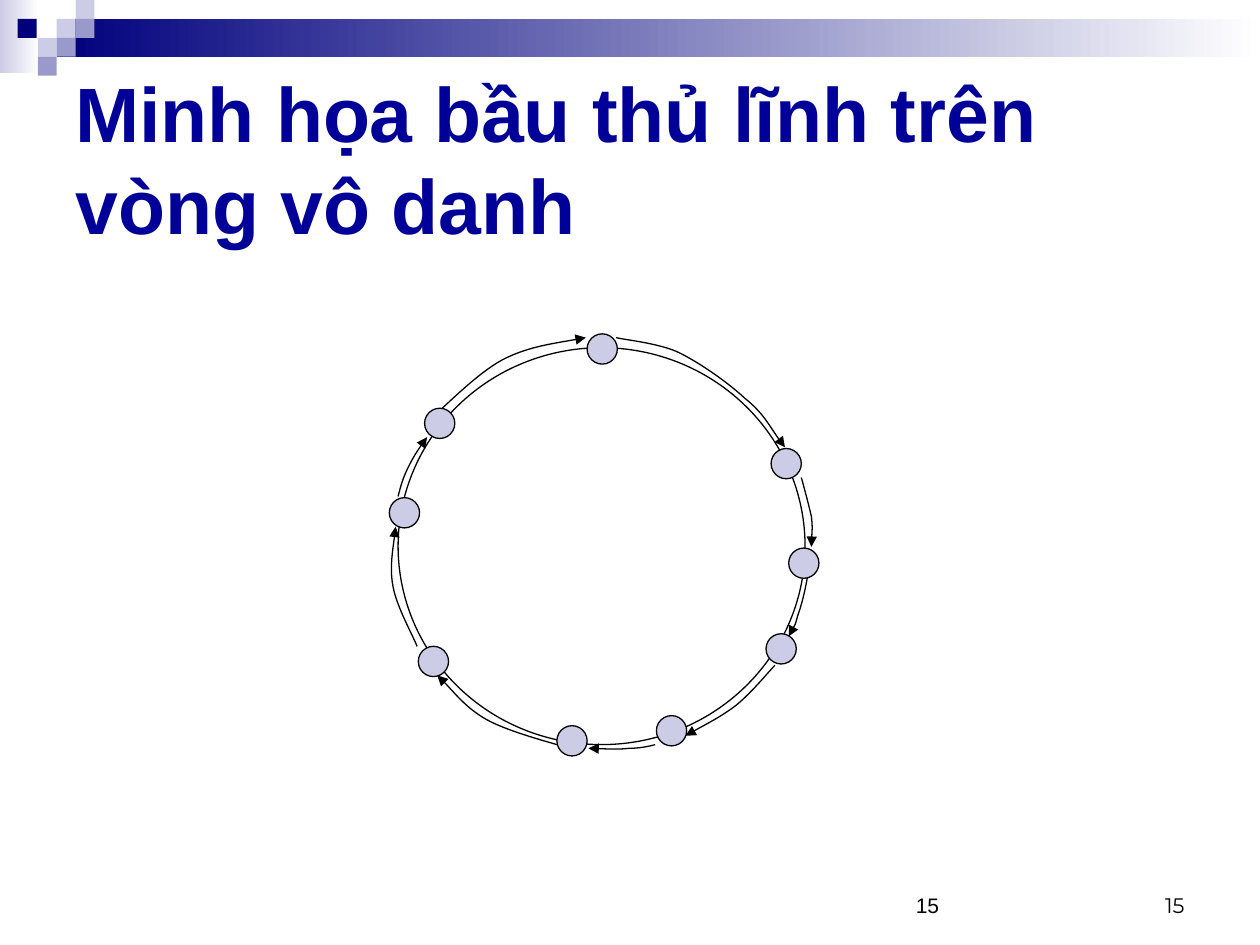
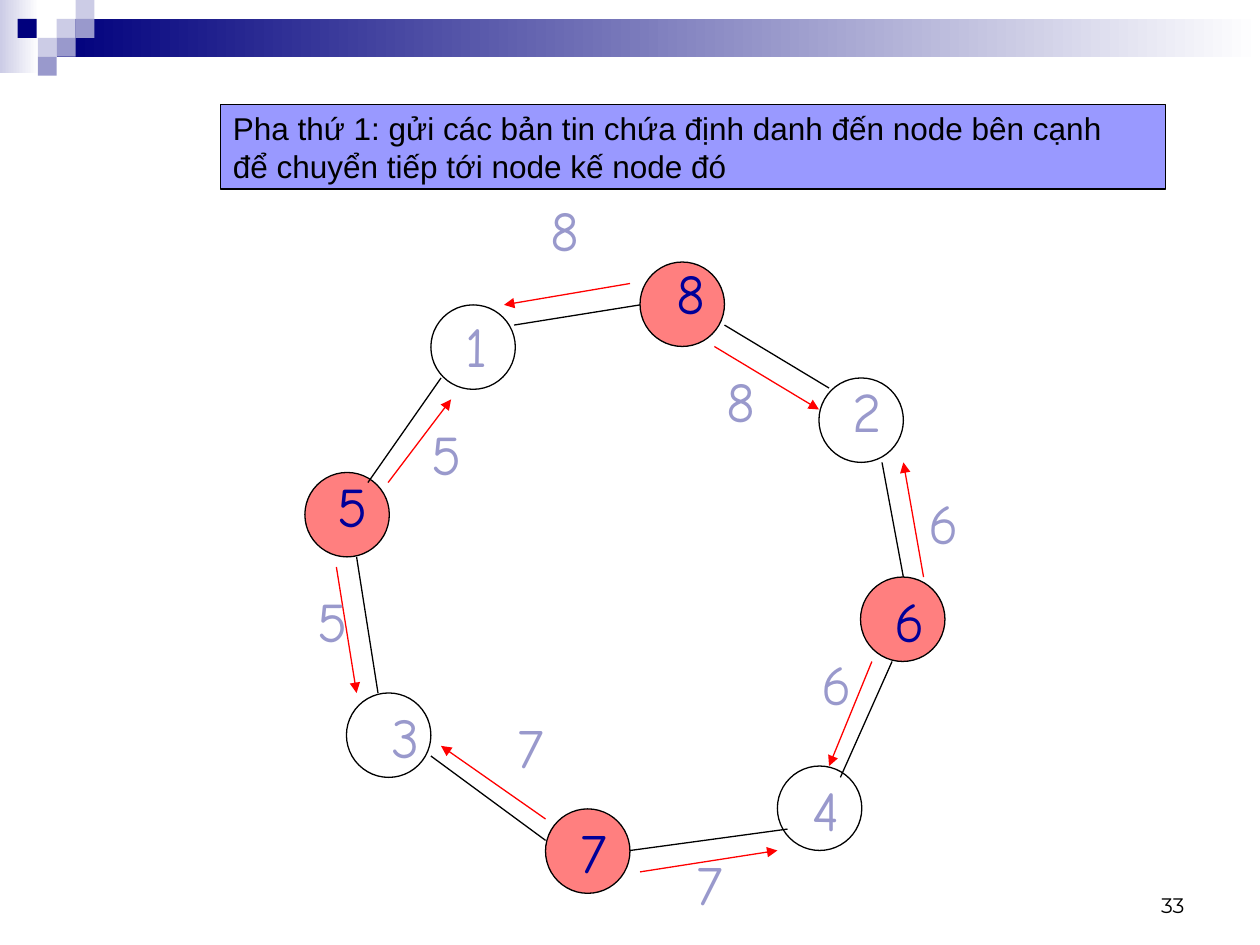
from typing import Any, NamedTuple

from lxml.etree import SubElement
from pptx import Presentation
from pptx.dml.color import RGBColor
from pptx.enum.shapes import MSO_CONNECTOR, MSO_SHAPE
from pptx.enum.text import MSO_ANCHOR, MSO_AUTO_SIZE, PP_ALIGN
from pptx.oxml.ns import qn
from pptx.slide import Slide
from pptx.util import Emu, Pt

SCALE = 9144
NAVY, BLUE, MIST, HAZE = "00007D", "000099", "CCCCE6", "9999CC"
BLACK, WHITE, RED, LILAC = "000000", "FFFFFF", "FF0000", "9999FF"
SANS, COMIC, MONT = "Arial", "Comic Neue", "Montserrat"


class Box(NamedTuple):
    x: int
    y: int
    w: int
    h: int


class Tile(NamedTuple):
    x: int
    y: int
    hue: str


class Node(NamedTuple):
    x: int
    y: int
    hot: bool


class Line(NamedTuple):
    x1: int
    y1: int
    x2: int
    y2: int


class Digit(NamedTuple):
    text: str
    x: int
    y: int
    hue: str = HAZE


TILES = [
    Tile(45, 15, MIST), Tile(60, 0, MIST), Tile(60, 15, HAZE), Tile(30, 30, MIST),
    Tile(14, 15, NAVY), Tile(45, 30, HAZE), Tile(30, 45, HAZE),
]
DOTS = [
    (466, 265), (626, 435), (521, 568), (332, 513), (442, 576),
    (608, 503), (612, 356), (309, 395), (337, 324),
]
CURVES = [
    [(489, 268), (497, 270), (520, 272), (537, 279), (554, 287),
     (577, 303), (591, 316), (606, 328), (612, 341), (623, 355)],
    [(641, 457), (639, 469), (636, 481), (633, 489), (631, 497), (628, 501), (626, 505)],
    [(442, 591), (432, 588), (402, 580), (386, 571), (370, 562), (355, 543), (347, 536)],
    [(636, 379), (639, 390), (642, 401), (644, 410), (645, 419), (644, 427), (644, 434)],
    [(615, 528), (605, 539), (595, 551), (584, 560), (572, 569), (558, 576), (544, 584)],
    [(520, 591), (517, 592), (508, 594), (499, 594), (490, 595), (473, 594), (467, 594)],
    [(331, 513), (328, 505), (315, 482), (312, 466), (309, 451), (313, 428), (314, 418)],
    [(316, 394), (318, 386), (320, 379), (324, 371), (328, 363), (333, 355), (339, 347)],
    [(351, 324), (359, 317), (383, 293), (402, 284), (421, 275), (444, 272), (465, 268)],
]
NODES = [
    Node(508, 208, True), Node(342, 242, False), Node(242, 375, True), Node(275, 550, False),
    Node(433, 642, True), Node(650, 300, False), Node(683, 458, True), Node(617, 608, False),
]
LINKS = [
    Line(292, 383, 350, 300), Line(408, 258, 508, 242), Line(575, 258, 658, 308),
    Line(700, 367, 717, 458), Line(708, 525, 667, 617), Line(625, 658, 500, 675),
    Line(433, 667, 342, 600), Line(300, 550, 283, 442),
]
SENDS = [
    Line(500, 225, 400, 242), Line(567, 275, 650, 325), Line(267, 450, 283, 550),
    Line(508, 692, 617, 675), Line(733, 458, 717, 367), Line(308, 383, 358, 317),
    Line(433, 650, 350, 592), Line(692, 525, 658, 608),
]
DIGITS = [
    Digit("1", 360, 242), Digit("2", 667, 294), Digit("3", 301, 553), Digit("4", 635, 611),
    Digit("5", 258, 369, BLUE), Digit("6", 700, 461, BLUE),
    Digit("7", 451, 644, BLUE), Digit("8", 527, 200, BLUE),
    Digit("8", 567, 286), Digit("5", 333, 328), Digit("5", 242, 461), Digit("7", 401, 561),
    Digit("7", 543, 669), Digit("6", 642, 511), Digit("6", 727, 383), Digit("8", 427, 150),
]
WIDTHS = {"1": 37, "2": 43, "3": 42, "4": 41, "5": 44, "6": 44, "7": 41, "8": 43}


def px(num: int) -> Emu:
    return Emu(num * SCALE)


def tint(code: str) -> RGBColor:
    return RGBColor.from_string(code)


def put(item: Any, vals: dict[str, Any]) -> None:
    for name, val in vals.items():
        setattr(item, name, val)


def ink(line: Any, hue: str, head: bool = False) -> None:
    line.color.rgb = tint(hue)
    line.width = Pt(0.75)
    if head:
        SubElement(line._get_or_add_ln(), qn("a:tailEnd"), type="triangle")


def form(page: Slide, kind: MSO_SHAPE, box: Box, fill: str = "", edge: str = "") -> Any:
    shape = page.shapes.add_shape(kind, *map(px, box))
    shape.shadow.inherit = False
    if fill:
        shape.fill.solid()
        shape.fill.fore_color.rgb = tint(fill)
    else:
        shape.fill.background()
    if edge:
        ink(shape.line, edge)
    else:
        shape.line.fill.background()
    return shape


def fade(page: Slide, box: Box, start: str) -> None:
    shape = form(page, MSO_SHAPE.RECTANGLE, box)
    shape.fill.gradient()
    shape.fill.gradient_angle = 0
    for stop, hue in zip(shape.fill.gradient_stops, (start, WHITE)):
        stop.color.rgb = tint(hue)


def write(shape: Any, lines: list[str], font: dict[str, Any], hue: str,
          frame: dict[str, Any], para: dict[str, Any]) -> None:
    put(shape.text_frame, frame)
    shape.text_frame.text = "\n".join(lines)
    for part in shape.text_frame.paragraphs:
        put(part, para)
        put(part.runs[0].font, font)
        part.runs[0].font.color.rgb = tint(hue)


def label(page: Slide, box: Box, text: str, font: dict[str, Any], hue: str,
          frame: dict[str, Any], para: dict[str, Any]) -> None:
    write(page.shapes.add_textbox(*map(px, box)), [text], font, hue, frame, para)


def join(page: Slide, line: Line, hue: str, head: bool = False) -> None:
    link = page.shapes.add_connector(MSO_CONNECTOR.STRAIGHT, *map(px, line))
    ink(link.line, hue, head)
    SubElement(link._element.spPr, qn("a:effectLst"))


def bend(page: Slide, spots: list[tuple[int, int]]) -> None:
    first, *rest = spots
    pen = page.shapes.build_freeform(*first, scale=SCALE)
    pen.add_line_segments(rest, close=False)
    shape = pen.convert_to_shape()
    shape.shadow.inherit = False
    shape.fill.background()
    ink(shape.line, BLACK, True)
    legs = list(shape._element.iter(qn("a:lnTo")))
    for i in range(0, len(legs), 3):
        curve = SubElement(legs[i].getparent(), qn("a:cubicBezTo"))
        for leg in legs[i:i + 3]:
            curve.append(leg[0])
            leg.getparent().remove(leg)


def count(page: Slide, text: str, face: str, side: PP_ALIGN) -> None:
    label(page, Box(717, 683, 233, 50), text, {"name": face, "size": Pt(12)}, BLACK,
          {"word_wrap": True, "vertical_anchor": MSO_ANCHOR.BOTTOM}, {"alignment": side})


def start(deck: Any, text: str) -> Slide:
    page = deck.slides.add_slide(deck.slide_layouts[6])
    fade(page, Box(0, 0, 31, 58), MIST)
    fade(page, Box(45, 15, 955, 30), NAVY)
    for tile in TILES:
        form(page, MSO_SHAPE.RECTANGLE, Box(tile.x, tile.y, 15, 15), tile.hue)
    count(page, text, MONT, PP_ALIGN.RIGHT)
    return page


def draw_ring(deck: Any) -> None:
    page = start(deck, "15")
    count(page, "15", SANS, PP_ALIGN.LEFT)
    form(page, MSO_SHAPE.OVAL, Box(316, 276, 323, 315), edge=BLACK)
    for spots in CURVES:
        bend(page, spots)
    for x, y in DOTS:
        form(page, MSO_SHAPE.OVAL, Box(x, y, 24, 24), MIST, BLACK)
    label(page, Box(50, 50, 900, 150), "Minh họa bầu thủ lĩnh trên vòng vô danh",
          {"name": SANS, "size": Pt(44), "bold": True}, BLUE,
          {"word_wrap": True, "vertical_anchor": MSO_ANCHOR.MIDDLE}, {})


def draw_phase(deck: Any) -> None:
    page = start(deck, "33")
    for node in NODES:
        shape = form(page, MSO_SHAPE.OVAL, Box(node.x, node.y, 67, 67),
                     RED if node.hot else "", BLACK)
        if node.hot:
            hue = next(shape._element.spPr.iter(qn("a:srgbClr")))
            SubElement(hue, qn("a:alpha"), val="50000")
    for line in LINKS:
        join(page, line, BLACK)
    for line in SENDS:
        join(page, line, RED, True)
    for digit in DIGITS:
        label(page, Box(digit.x, digit.y, WIDTHS[digit.text], 64), digit.text,
              {"name": COMIC, "size": Pt(32)}, digit.hue,
              {"word_wrap": False, "auto_size": MSO_AUTO_SIZE.SHAPE_TO_FIT_TEXT},
              {"space_before": Pt(8)})
    note = form(page, MSO_SHAPE.RECTANGLE, Box(175, 83, 750, 67), LILAC, BLACK)
    write(note, ["Pha thứ 1: gửi các bản tin chứa định danh đến node bên cạnh",
                 "để chuyển tiếp tới node kế node đó"],
          {"name": SANS, "size": Pt(18)}, BLACK,
          {"word_wrap": False, "vertical_anchor": MSO_ANCHOR.MIDDLE},
          {"alignment": PP_ALIGN.LEFT})


def main() -> None:
    deck = Presentation()
    put(deck, {"slide_width": px(1000), "slide_height": px(750)})
    draw_ring(deck)
    draw_phase(deck)
    deck.save("out.pptx")


if __name__ == "__main__":
    main()
